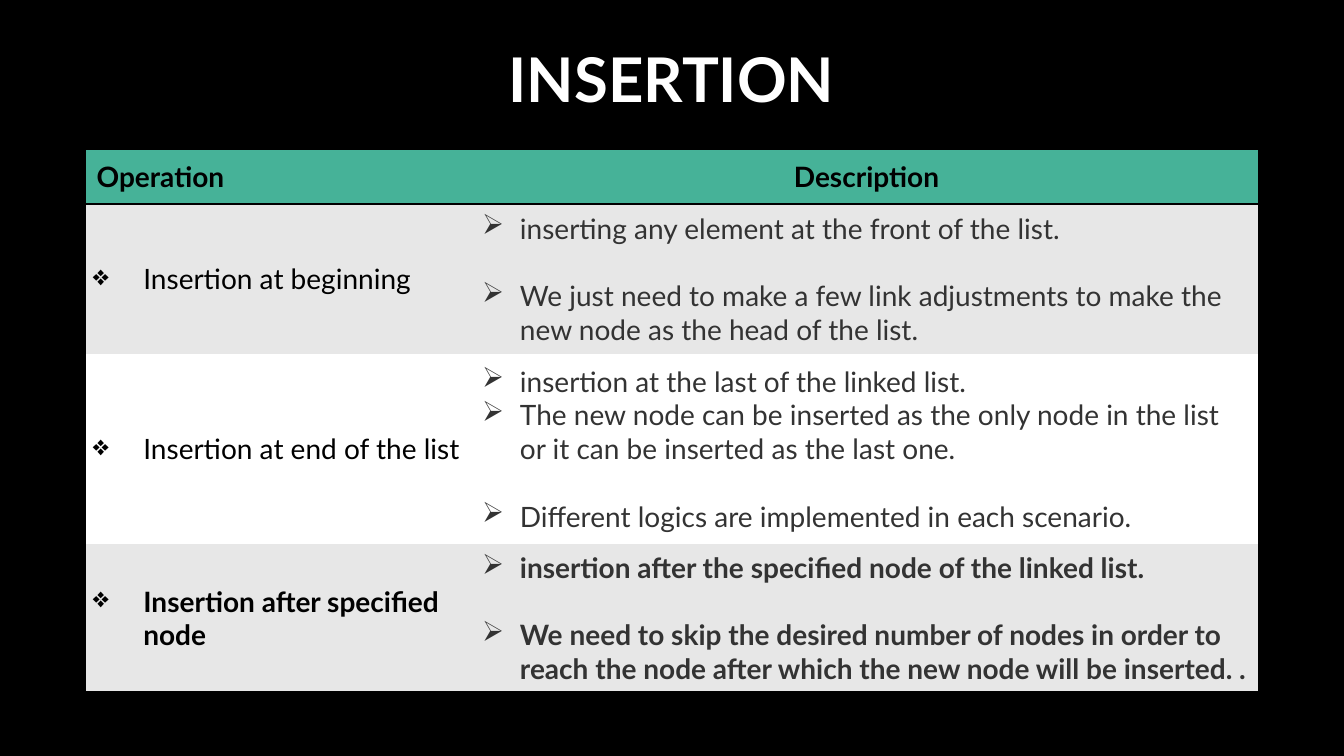
"""Build the INSERTION slide: a title above a table of linked list operations."""
from lxml.etree import SubElement
from pptx import Presentation
from pptx.dml.color import RGBColor as RGB
from pptx.enum.text import MSO_ANCHOR as ANCHOR, PP_ALIGN as ALIGN
from pptx.oxml.ns import qn
from pptx.util import Pt

COLORS = {"black": "000000", "white": "FFFFFF", "green": "46B298",
          "gray": "E7E7E7", "text": "333333"}
NO_STYLE = "{2D5ABB26-0587-4C30-8999-92F81FD0307C}"
LINE = 24
OPERATION = {"char": "❖", "indent": 36, "color": "black"}
DESCRIPTION = {"char": "➢", "indent": 27, "color": "text"}
ROWS = [
    ("Insertion at beginning", "gray", False, 107, [
        ("inserting any element at the front of the list.", 0),
        ("We just need to make a few link adjustments to make the "
         "new node as the head of the list.", LINE)]),
    ("Insertion at end of the list", "white", False, 135.7, [
        ("insertion at the last of the linked list.", 0),
        ("The new node can be inserted as the only node in the list "
         "or it can be inserted as the last one.", 0),
        ("Different logics are implemented in each scenario.", LINE)]),
    ("Insertion after specified node", "gray", True, 106, [
        ("insertion after the specified node of the linked list.", 0),
        ("We need to skip the desired number of nodes in order to reach "
         "the node after which the new node will be inserted. .", LINE)]),
]


def write(p, text, color, size=20, bold=False, char=None, indent=0):
    if char:
        pPr = p._p.get_or_add_pPr()
        pPr.set("marL", str(Pt(indent)))
        pPr.set("indent", str(-Pt(indent)))
        SubElement(pPr, qn("a:buChar"), char=char)
    r = p.add_run()
    r.text = text
    for name, value in {"name": "Lato", "size": Pt(size), "bold": bold}.items():
        setattr(r.font, name, value)
    r.font.color.rgb = RGB.from_string(COLORS[color])


def format_cell(cell, fill, margin, borders=()):
    cell.vertical_anchor = ANCHOR.MIDDLE
    for side in ("left", "right", "top", "bottom"):
        setattr(cell, f"margin_{side}", Pt(margin))
    for tag in borders:
        ln = SubElement(cell._tc.get_or_add_tcPr(), qn(tag), w=str(Pt(2)))
        SubElement(SubElement(ln, qn("a:solidFill")), qn("a:srgbClr"),
                   val=COLORS["black"])
    cell.fill.solid()
    cell.fill.fore_color.rgb = RGB.from_string(COLORS[fill])


prs = Presentation()
prs.slide_width, prs.slide_height = Pt(960), Pt(540)
s = prs.slides.add_slide(prs.slide_layouts[6])
s.background.fill.solid()
s.background.fill.fore_color.rgb = RGB.from_string(COLORS["black"])

title = s.shapes.add_textbox(Pt(342.7), Pt(21.6), Pt(274.3), Pt(67.7))
tf = title.text_frame
tf.word_wrap = True
tf.vertical_anchor = ANCHOR.MIDDLE
tf.paragraphs[0].alignment = ALIGN.CENTER
write(tf.paragraphs[0], "INSERTION", "white", size=44, bold=True)

heights = [39.5] + [row[3] for row in ROWS]
widths = [278, 559.3]
frame = s.shapes.add_table(len(heights), len(widths), Pt(61.3), Pt(106.2),
                           Pt(sum(widths)), Pt(sum(heights)))
table = frame.table
table._tbl.tblPr.find(qn("a:tableStyleId")).text = NO_STYLE
for column, width in zip(table.columns, widths):
    column.width = Pt(width)
for row, height in zip(table.rows, heights):
    row.height = Pt(height)

for i, (text, align) in enumerate([("Operation", ALIGN.LEFT),
                                   ("Description", ALIGN.CENTER)]):
    cell = table.cell(0, i)
    format_cell(cell, "green", 7.7, ("a:lnT", "a:lnB"))
    p = cell.text_frame.paragraphs[0]
    p.alignment = align
    write(p, text, "black", bold=True)

for i, (operation, fill, bold, height, points) in enumerate(ROWS, 1):
    borders = ("a:lnB",) if i == len(ROWS) else ()
    for j, (items, style) in enumerate([([(operation, 0)], OPERATION),
                                        (points, DESCRIPTION)]):
        cell = table.cell(i, j)
        format_cell(cell, fill, 5.1, borders)
        tf = cell.text_frame
        for k, (text, gap) in enumerate(items):
            p = tf.add_paragraph() if k else tf.paragraphs[0]
            write(p, text, bold=bold, **style)
            if gap:
                p.space_before = Pt(gap)

prs.save("out.pptx")
